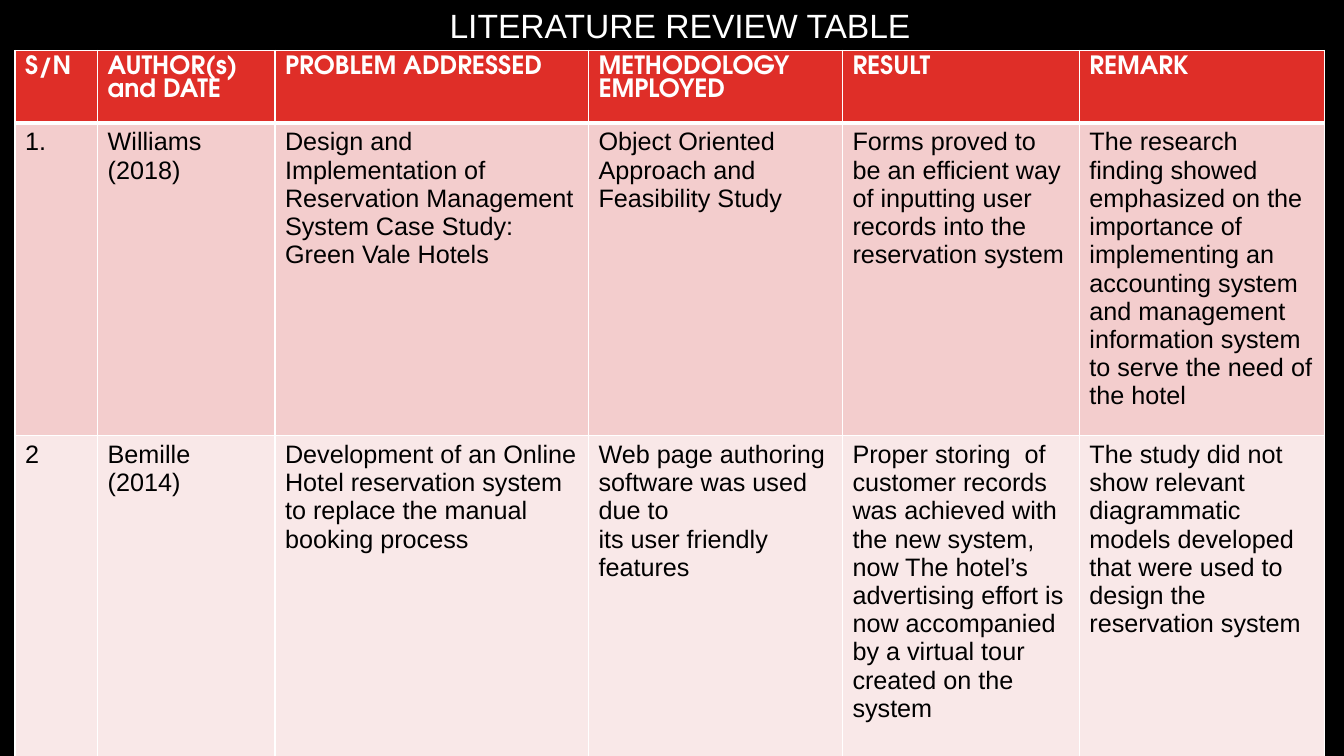
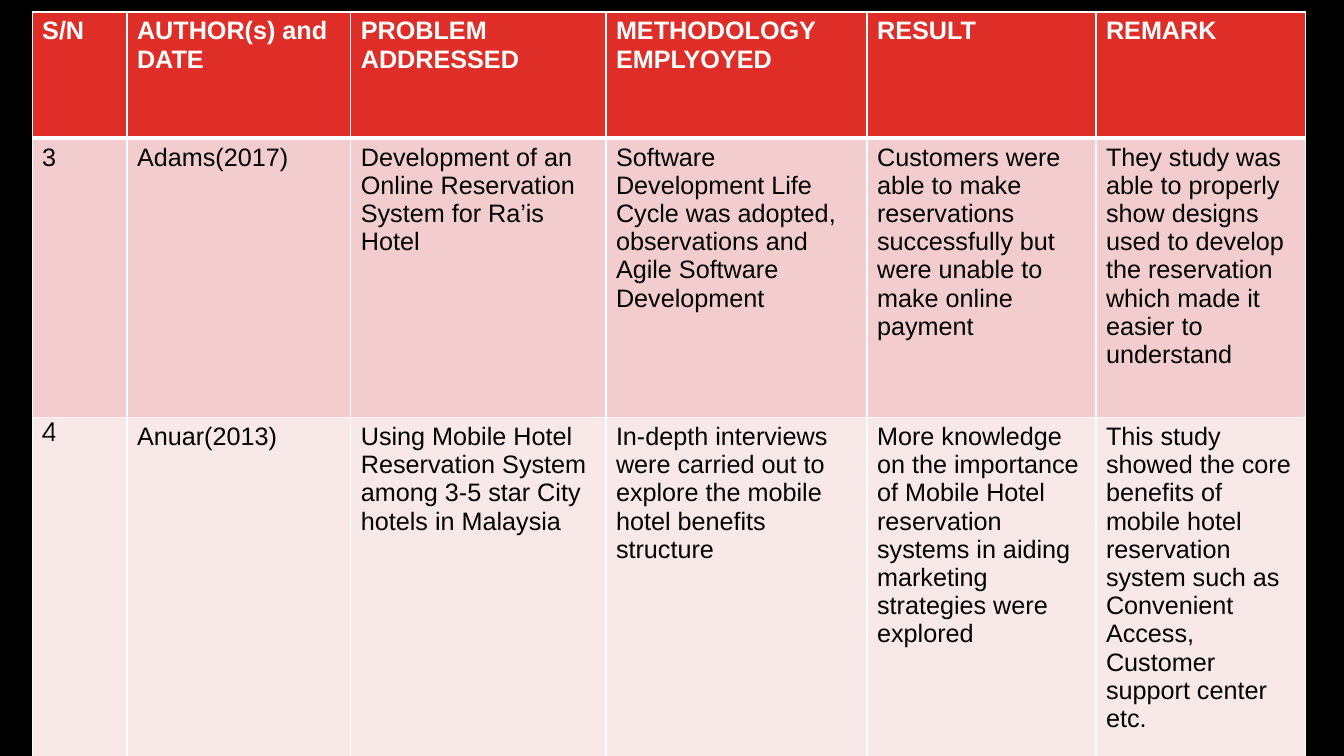
"""Build two slides with a literature review table."""
from lxml import etree
from pptx import Presentation
from pptx import util as u
from pptx.dml.color import RGBColor
from pptx.enum import text
from pptx.oxml.ns import qn

BLACK, WHITE = "000000", "FFFFFF"
FILLS = ["DF2E28", "F3CDCD", "F9E8E8"]
SANS, ROUND = "Arial", "TeX Gyre Adventor"
HEAD = {"size": u.Pt(18), "bold": True, "name": SANS}
BODY = {"size": u.Pt(18), "bold": False, "name": SANS}


def style(font, color, form):
    for key, val in form.items():
        setattr(font, key, val)
    font.color.rgb = RGBColor.from_string(color)


def edge(cell, widths):
    props = cell._tc.get_or_add_tcPr()
    for spot, (side, width) in enumerate(zip("LRTB", widths)):
        line = etree.Element(qn(f"a:ln{side}"), w=str(u.Pt(width)))
        fill = etree.SubElement(line, qn("a:solidFill"))
        etree.SubElement(fill, qn("a:srgbClr"), val=WHITE)
        props.insert(spot, line)


pages = [
    {
        "title": "LITERATURE REVIEW TABLE",
        "at": (0.38, 1.27),
        "cols": [2.08, 4.47, 7.9, 6.4, 5.97, 6.17],
        "rows": [1.83, 7.87, 8.13],
        "round": [(0, col) for col in range(6)],
        "cells": [
            ["S/N", "AUTHOR(s) and DATE", "PROBLEM ADDRESSED",
             "METHODOLOGY EMPLOYED", "RESULT", "REMARK"],
            ["1.", "Williams (2018)",
             "Design and Implementation of Reservation Management System "
             "Case Study: Green Vale Hotels",
             "Object Oriented Approach and Feasibility Study",
             "Forms proved to be an efficient way of inputting user records "
             "into the reservation system",
             "The research finding showed emphasized on the importance of "
             "implementing an accounting system and management information "
             "system to serve the need of the hotel"],
            ["2", "Bemille (2014)",
             "Development of an Online Hotel reservation system to replace "
             "the manual booking process",
             "Web page authoring software was used due to\n"
             "its user friendly features",
             "Proper storing  of customer records was achieved with the new "
             "system, now The hotel’s advertising effort is now accompanied "
             "by a virtual tour created on the system",
             "The study did not show relevant diagrammatic models developed "
             "that were used to design the reservation system"],
        ],
    },
    {
        "title": None,
        "at": (0.81, 0.3),
        "cols": [2.39, 5.64, 6.43, 6.58, 5.77, 5.28],
        "rows": [3.18, 7.04, 8.6],
        "round": [(2, 0)],
        "cells": [
            ["S/N", "AUTHOR(s) and DATE", "PROBLEM ADDRESSED",
             "METHODOLOGY EMPLYOYED", "RESULT", "REMARK"],
            ["3", "Adams(2017)",
             "Development of an Online Reservation System for Ra’is Hotel",
             "Software Development Life Cycle was adopted, observations and "
             "Agile Software Development",
             "Customers were able to make reservations successfully but were "
             "unable to make online payment",
             "They study was able to properly show designs used to develop "
             "the reservation which made it easier to understand"],
            ["4", "Anuar(2013)",
             "Using Mobile Hotel Reservation System among 3-5 star City "
             "hotels in Malaysia",
             "In-depth interviews were carried out to explore the mobile "
             "hotel benefits structure",
             "More knowledge on the importance of Mobile Hotel reservation "
             "systems in aiding marketing strategies were explored",
             "This study showed the core benefits of mobile hotel reservation "
             "system such as Convenient Access, Customer support center etc."],
        ],
    },
]

deck = Presentation()
deck.slide_width, deck.slide_height = u.Cm(33.87), u.Cm(19.05)

for page in pages:
    slide = deck.slides.add_slide(deck.slide_layouts[6])
    back = slide.background.fill
    back.solid()
    back.fore_color.rgb = RGBColor.from_string(BLACK)

    if page["title"]:
        box = slide.shapes.add_textbox(u.Cm(1.85), 0, u.Cm(30.58), u.Cm(1.27))
        box.text_frame.word_wrap = True
        para = box.text_frame.paragraphs[0]
        para.text = page["title"]
        para.alignment = text.PP_ALIGN.CENTER
        style(para.font, WHITE, {"size": u.Pt(24), "name": SANS})

    cols, rows = page["cols"], page["rows"]
    left, top = page["at"]
    table = slide.shapes.add_table(
        len(rows), len(cols), u.Cm(left), u.Cm(top),
        u.Cm(sum(cols)), u.Cm(sum(rows))).table
    for col, width in zip(table.columns, cols):
        col.width = u.Cm(width)
    for row, height in zip(table.rows, rows):
        row.height = u.Cm(height)

    for r, words in enumerate(page["cells"]):
        for c, word in enumerate(words):
            cell = table.cell(r, c)
            cell.text = word
            cell.fill.solid()
            cell.fill.fore_color.rgb = RGBColor.from_string(FILLS[r])
            edge(cell, (1, 1, 3 if r == 1 else 1, 3 if r == 0 else 1))
            form = dict(BODY if r else HEAD)
            if (r, c) in page["round"]:
                form["name"] = ROUND
            for para in cell.text_frame.paragraphs:
                style(para.font, BLACK if r else WHITE, form)

deck.save("out.pptx")
